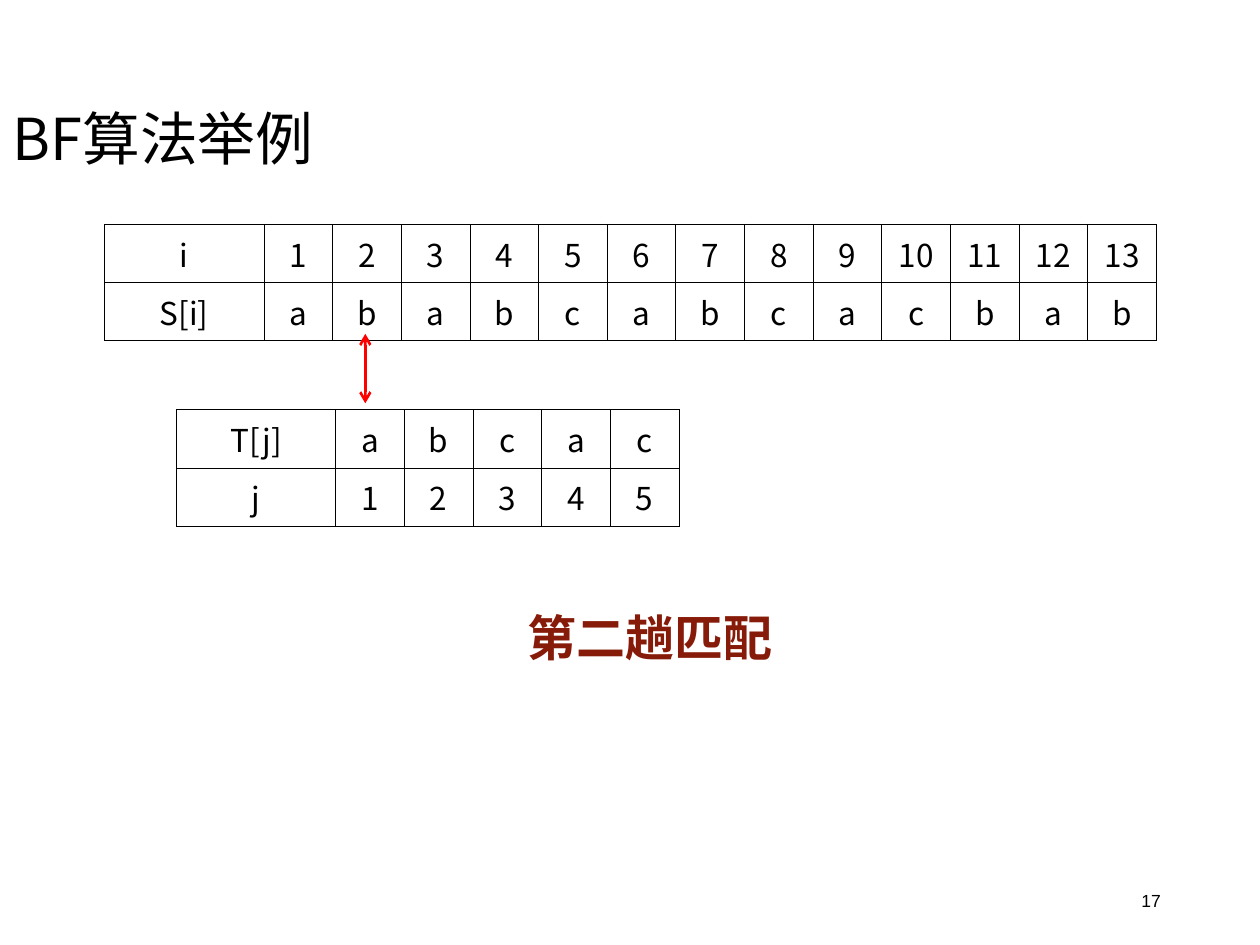
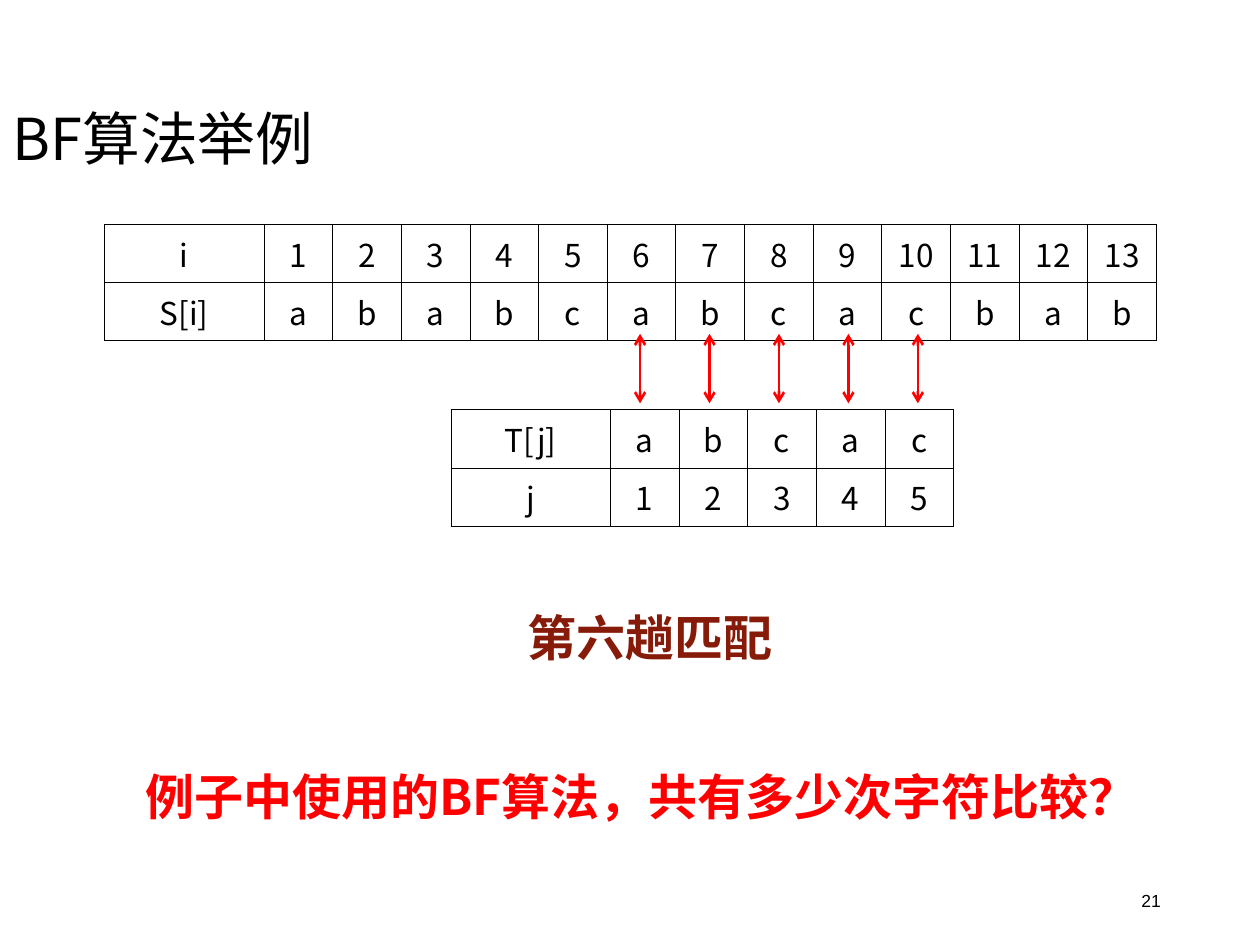
"""Build two slides that trace passes of the BF string matching algorithm."""
from dataclasses import dataclass

from lxml.etree import SubElement
from pptx import Presentation
from pptx.dml.color import RGBColor
from pptx.enum.shapes import MSO_CONNECTOR as Connector
from pptx.enum.text import MSO_ANCHOR as Anchor, MSO_AUTO_SIZE as AutoSize, PP_ALIGN as Align
from pptx.oxml import parse_xml
from pptx.oxml.ns import nsdecls, qn
from pptx.slide import Slide
from pptx.util import Cm, Pt

COLORS = {"ink": "000000", "caption": "871B09", "accent": "FF0000", "paper": "FFFFFF"}
LATIN, CJK = "Arial", "Noto Sans CJK SC"
SOURCE, PATTERN = "ababcabcacbab", "abcac"
LABEL_WIDTH, CELL_WIDTH, ROW_HEIGHT = Cm(3.21), Cm(18) // 13, Cm(1.03)
SOURCE_LEFT, SOURCE_TOP = Cm(2.11), Cm(4.52)
PATTERN_LEFT, PATTERN_TOP = Cm(2.17), Cm(8.26)
ARROW_OFFSET, ARROW_STEP = Cm(3.81), Cm(1.4)
ARROW_TOP, ARROW_BOTTOM = Cm(6.73), Cm(8.13)


@dataclass(frozen=True)
class TextStyle:
    size: int
    color: str = "ink"
    font: str = CJK
    bold: bool = False
    align: Align = Align.LEFT


@dataclass(frozen=True)
class Box:
    left: float
    top: float
    width: float
    height: float


@dataclass(frozen=True)
class MatchPass:
    page: int
    shift: int
    comparisons: int
    caption: str
    question: str = ""


TITLE_STYLE = TextStyle(33)
CELL_STYLE = TextStyle(18, align=Align.CENTER)
PAGE_STYLE = TextStyle(10, font=LATIN, align=Align.RIGHT)
CAPTION_STYLE = TextStyle(28, "caption", LATIN, True, Align.CENTER)
QUESTION_STYLE = TextStyle(28, "accent", bold=True)

TITLE_BOX = Box(0, 1.02, 21.92, 3.68)
PAGE_BOX = Box(17.93, 17.65, 5.72, 1.02)
CAPTION_BOX = Box(7.9, 12.12, 10.41, 1.45)
QUESTION_BOX = Box(2.69, 15.32, 20.6, 1.45)

PASSES = [
    MatchPass(17, 1, 1, "第二趟匹配"),
    MatchPass(21, 5, 5, "第六趟匹配", "例子中使用的BF算法，共有多少次字符比较？"),
]


def color(name: str) -> RGBColor:
    return RGBColor.from_string(COLORS[name])


def write(text_frame, text: str, style: TextStyle) -> None:
    text_frame.text = text
    paragraph = text_frame.paragraphs[0]
    paragraph.alignment = style.align
    for run in paragraph.runs:
        run.font.size = Pt(style.size)
        run.font.bold = style.bold
        run.font.name = style.font
        run.font.color.rgb = color(style.color)
        SubElement(run.font._element, qn("a:ea"), typeface=CJK)


def place(shape, box: Box) -> None:
    shape.left, shape.top = Cm(box.left), Cm(box.top)
    shape.width, shape.height = Cm(box.width), Cm(box.height)


def add_title(slide: Slide, text: str) -> None:
    title = slide.shapes.title
    place(title, TITLE_BOX)
    write(title.text_frame, text, TITLE_STYLE)
    title.text_frame.auto_size = AutoSize.NONE
    title.text_frame.vertical_anchor = Anchor.MIDDLE
    title.text_frame.paragraphs[0].line_spacing = 0.9


def add_text(slide: Slide, text: str, box: Box, style: TextStyle,
             anchor: Anchor = Anchor.TOP, grow: bool = True) -> None:
    shape = slide.shapes.add_textbox(0, 0, 0, 0)
    place(shape, box)
    text_frame = shape.text_frame
    text_frame.word_wrap = True
    text_frame.auto_size = AutoSize.SHAPE_TO_FIT_TEXT if grow else AutoSize.NONE
    text_frame.vertical_anchor = anchor
    write(text_frame, text, style)


def add_borders(cell) -> None:
    properties = cell._tc.get_or_add_tcPr()
    for index, side in enumerate(("lnL", "lnR", "lnT", "lnB")):
        properties.insert(index, parse_xml(
            f'<a:{side} {nsdecls("a")} w="{Pt(0.45)}"><a:solidFill>'
            f'<a:srgbClr val="{COLORS["ink"]}"/></a:solidFill></a:{side}>'))


def add_string_table(slide: Slide, rows: list[list[str]], left: int, top: int) -> None:
    columns = len(rows[0])
    width = LABEL_WIDTH + (columns - 1) * CELL_WIDTH
    table = slide.shapes.add_table(
        len(rows), columns, left, top, width, len(rows) * ROW_HEIGHT).table
    table.first_row = table.horz_banding = False
    for index, column in enumerate(table.columns):
        column.width = CELL_WIDTH if index else LABEL_WIDTH
    for row_index, row in enumerate(rows):
        for column_index, text in enumerate(row):
            cell = table.cell(row_index, column_index)
            write(cell.text_frame, text, CELL_STYLE)
            cell.fill.solid()
            cell.fill.fore_color.rgb = color("paper")
            add_borders(cell)


def add_arrow(slide: Slide, x: int) -> None:
    arrow = slide.shapes.add_connector(Connector.STRAIGHT, x, ARROW_TOP, x, ARROW_BOTTOM)
    arrow.line.color.rgb = color("accent")
    arrow.line.width = Pt(1.5)
    line = arrow.line._get_or_add_ln()
    for end in ("a:headEnd", "a:tailEnd"):
        SubElement(line, qn(end), type="arrow")
    SubElement(arrow._element.spPr, qn("a:effectLst"))


def numbers(text: str) -> list[str]:
    return [str(position) for position in range(1, len(text) + 1)]


def add_pass_slide(presentation, match: MatchPass) -> None:
    slide = presentation.slides.add_slide(presentation.slide_layouts[5])
    add_text(slide, str(match.page), PAGE_BOX, PAGE_STYLE, Anchor.MIDDLE, False)
    add_title(slide, "BF算法举例")
    add_string_table(slide, [["i", *numbers(SOURCE)], ["S[i]", *SOURCE]],
                     SOURCE_LEFT, SOURCE_TOP)
    pattern_left = PATTERN_LEFT + match.shift * CELL_WIDTH
    add_string_table(slide, [["T[j]", *PATTERN], ["j", *numbers(PATTERN)]],
                     pattern_left, PATTERN_TOP)
    for index in range(match.comparisons):
        add_arrow(slide, pattern_left + ARROW_OFFSET + index * ARROW_STEP)
    add_text(slide, match.caption, CAPTION_BOX, CAPTION_STYLE)
    if match.question:
        add_text(slide, match.question, QUESTION_BOX, QUESTION_STYLE)


def main() -> None:
    presentation = Presentation()
    presentation.slide_width, presentation.slide_height = Cm(25.4), Cm(19.05)
    for match in PASSES:
        add_pass_slide(presentation, match)
    presentation.save("out.pptx")


if __name__ == "__main__":
    main()
